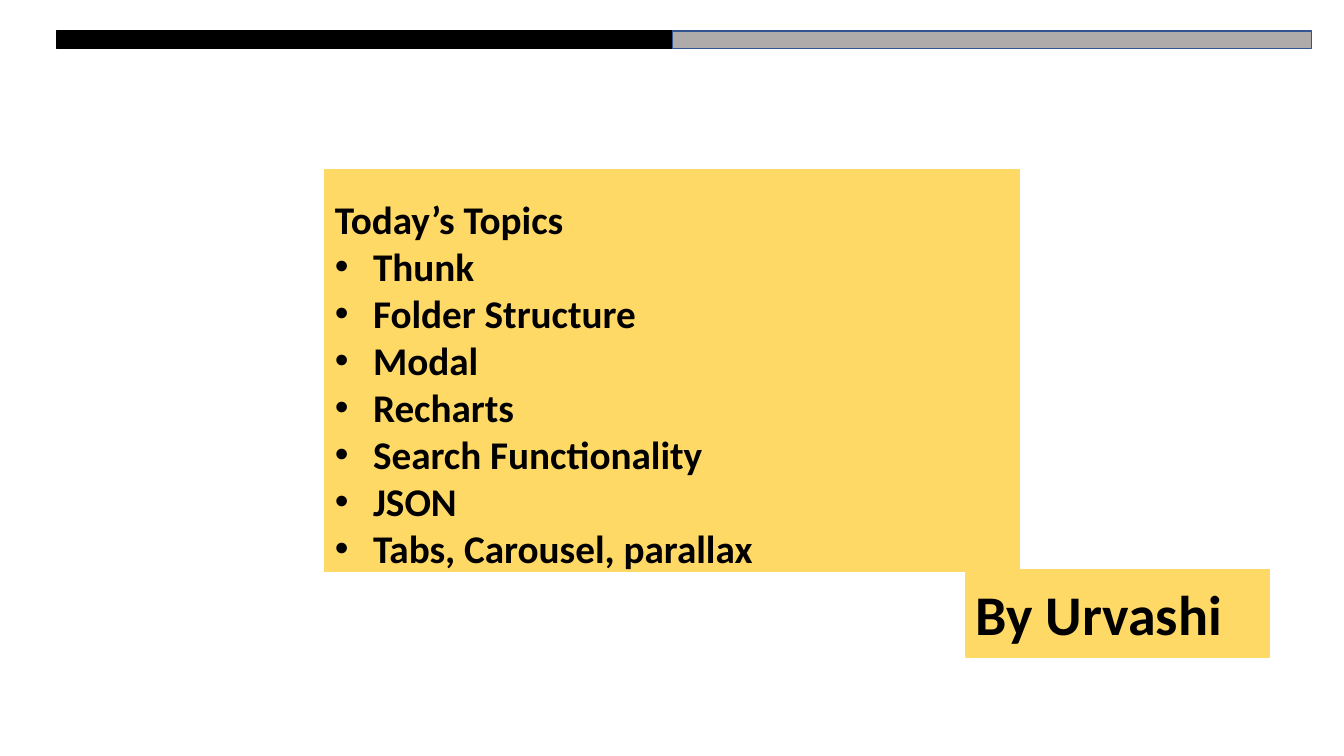
from lxml.etree import SubElement
from pptx import Presentation
from pptx.dml.color import RGBColor
from pptx.enum.shapes import MSO_SHAPE
from pptx.enum.text import MSO_ANCHOR, MSO_AUTO_SIZE, PP_ALIGN
from pptx.oxml.ns import qn
from pptx.util import Inches, Pt

COLORS = {"panel": "FFD966", "ink": "000000", "gray": "AFABAB", "edge": "325491"}
FONT = "Calibri"
TOPICS = ["Thunk", "Folder Structure", "Modal", "Recharts",
          "Search Functionality", "JSON", "Tabs, Carousel, parallax"]


def paint(shape, fill, line):
    """Give a shape a solid fill and a thin outline."""
    shape.fill.solid()
    shape.fill.fore_color.rgb = RGBColor.from_string(COLORS[fill])
    shape.line.color.rgb = RGBColor.from_string(COLORS[line])
    shape.line.width = Pt(1)


def place(shape, left, top, width, height):
    """Move and size a placeholder in inches."""
    shape.left, shape.top = Inches(left), Inches(top)
    shape.width, shape.height = Inches(width), Inches(height)


def add_bar(slide, left, top, width, height, fill, line):
    """Add a painted rectangle without shadow."""
    bar = slide.shapes.add_shape(MSO_SHAPE.RECTANGLE, Inches(left), Inches(top),
                                 Inches(width), Inches(height))
    bar.shadow.inherit = False
    paint(bar, fill, line)
    return bar


def write(shape, lines, size=28, anchor=MSO_ANCHOR.MIDDLE, spacing=None, bullet=None):
    """Fill a shape with bold left-aligned paragraphs."""
    frame = shape.text_frame
    frame.text = "\n".join(lines)
    frame.word_wrap = True
    frame.auto_size = MSO_AUTO_SIZE.NONE
    frame.vertical_anchor = anchor
    frame.margin_left = frame.margin_right = Inches(0.1)
    frame.margin_top = frame.margin_bottom = 0
    for paragraph in frame.paragraphs:
        paragraph.alignment = PP_ALIGN.LEFT
        paragraph.space_before = paragraph.space_after = Pt(0)
        paragraph.line_spacing = spacing
        font = paragraph.runs[0].font
        font.name, font.size, font.bold = FONT, Pt(size), True
        font.color.rgb = RGBColor.from_string(COLORS["ink"])
        if bullet:
            properties = paragraph._p.get_or_add_pPr()
            properties.set("marL", str(Inches(0.38)))
            properties.set("indent", str(-Inches(0.38)))
            SubElement(properties, qn("a:buFont"), typeface="Arial")
            SubElement(properties, qn("a:buChar"), char=bullet)


def add_header(slide, left, top, width, height):
    """Draw the two-tone strip along the top."""
    gray_width = 6.34
    add_bar(slide, left, top, 8.33, height, "ink", "ink")
    add_bar(slide, left + width - gray_width, top, gray_width, height, "gray", "edge")


def add_topics(slide, left, top, width, height):
    """Stack the heading and the topic list into one panel."""
    heading_height = 0.72
    heading, topics = slide.shapes.title, slide.placeholders[1]
    place(heading, left, top, width, heading_height)
    place(topics, left, top + heading_height, width, height - heading_height)
    for part in (heading, topics):
        paint(part, "panel", "panel")
    write(heading, ["Today’s Topics"], anchor=MSO_ANCHOR.BOTTOM)
    write(topics, TOPICS, spacing=Pt(33.6), bullet="•")


def add_presenter(slide, left, top, width, height):
    """Add the presenter's name plate."""
    plate = add_bar(slide, left, top, width, height, "panel", "panel")
    write(plate, ["By Urvashi"], size=40)


def main():
    """Build and save the slide."""
    deck = Presentation()
    deck.slide_width, deck.slide_height = Inches(13.33), Inches(7.5)
    slide = deck.slides.add_slide(deck.slide_layouts[1])
    add_topics(slide, 3.22, 1.68, 6.89, 3.99)
    add_header(slide, 0.56, 0.31, 12.45, 0.17)
    add_presenter(slide, 9.58, 5.65, 3.01, 0.87)
    deck.save("out.pptx")


main()
